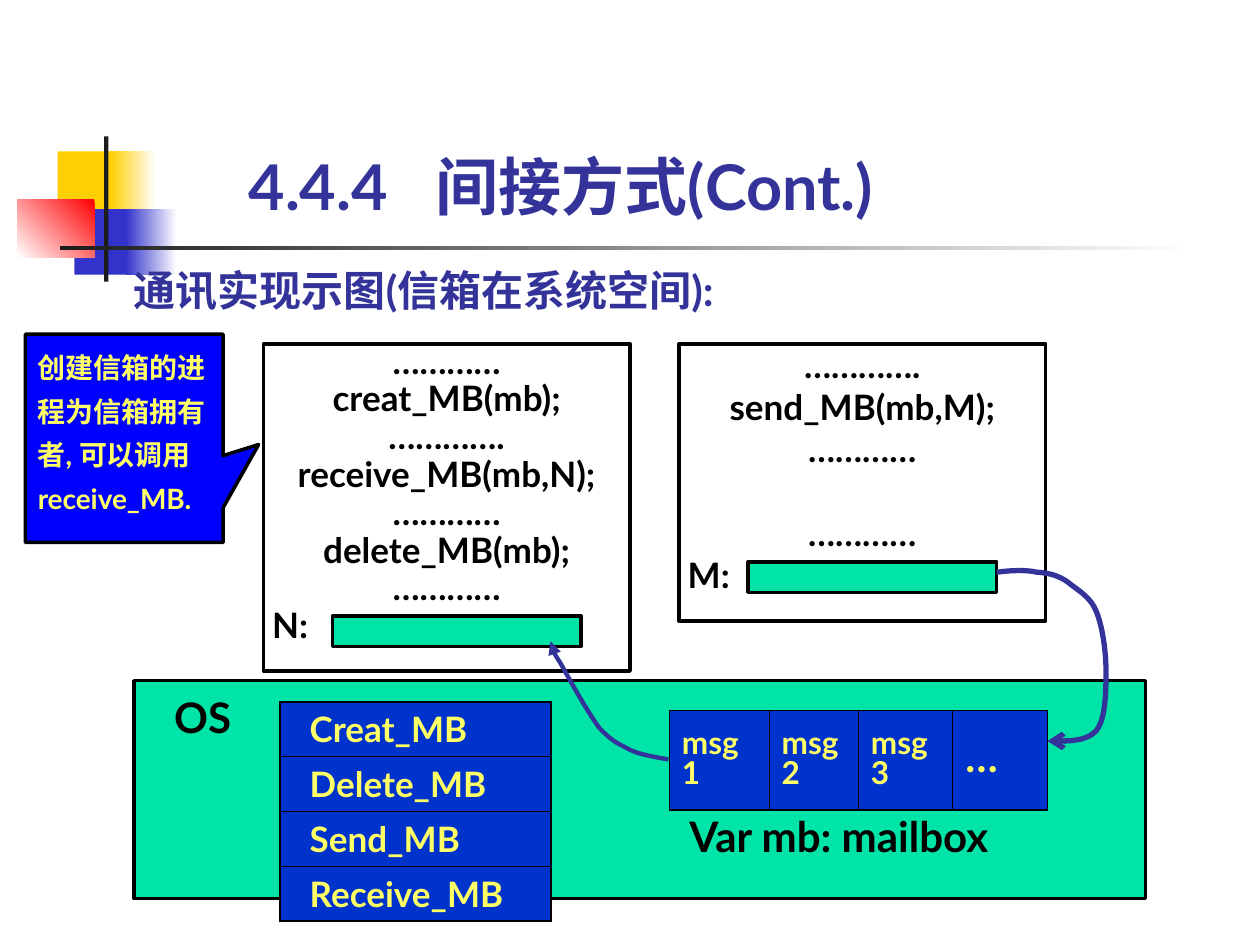
import pptx
import pptx.util
from lxml import etree
from pptx.dml.color import RGBColor
from pptx.enum.shapes import MSO_SHAPE
from pptx.enum.text import MSO_ANCHOR, MSO_AUTO_SIZE, PP_ALIGN
from pptx.oxml.ns import qn

Pt = pptx.util.Pt
FONT = "Lato"
COLORS = {
    "ink": "000000", "title": "333399", "green": "00E4A8", "cell": "0033CC",
    "callout": "0000FF", "light": "FFFF66", "white": "FFFFFF", "yellow": "FFCF01",
    "blue": "3333CC", "red": "FF0000", "bar": "1C1C1C",
}


def rgb(name):
    return RGBColor.from_string(COLORS[name])


def style(p, size, color, align=PP_ALIGN.LEFT, spacing=1.0):
    p.alignment, p.line_spacing = align, spacing
    p.space_before = Pt(0)
    f = p.font
    f.name, f.size, f.bold, f.color.rgb = FONT, Pt(size), True, rgb(color)


def set_frame(tf, margins=(0, 0, 0, 0), anchor=MSO_ANCHOR.TOP):
    tf.word_wrap, tf.auto_size = True, MSO_AUTO_SIZE.NONE
    tf.vertical_anchor = anchor
    tf.margin_left, tf.margin_top, tf.margin_right, tf.margin_bottom = map(Pt, margins)


def add_box(s, x, y, w, h, fill=None, line=None, kind=MSO_SHAPE.RECTANGLE):
    sp = s.shapes.add_shape(kind, Pt(x), Pt(y), Pt(w), Pt(h))
    sp.shadow.inherit = False
    if fill:
        sp.fill.solid()
        sp.fill.fore_color.rgb = rgb(fill)
    else:
        sp.fill.background()
    if line:
        sp.line.color.rgb, sp.line.width = rgb(line), Pt(2)
    else:
        sp.line.fill.background()
    return sp


def add_fade(s, x, y, w, h, start, end, angle):
    """Rectangle fading between two colours; angle is counter-clockwise."""
    fill = add_box(s, x, y, w, h).fill
    fill.gradient()
    fill.gradient_angle = angle
    for stop, color in zip(fill.gradient_stops, (start, end)):
        stop.color.rgb = rgb(color)


def add_label(s, x, y, w, h, text, spacing=1.0):
    tf = s.shapes.add_textbox(Pt(x), Pt(y), Pt(w), Pt(h)).text_frame
    set_frame(tf)
    tf.text = text
    style(tf.paragraphs[0], 24, "ink", spacing=spacing)
    return tf.paragraphs[0]


def add_ornament(s, x, y):
    add_box(s, x + 23, y + 8.5, 34.5, 37.5, "yellow")
    add_fade(s, x + 53, y + 8.5, 26, 37.5, "white", "yellow", 180)
    add_box(s, x + 32.5, y + 41.5, 33, 37.5, "blue")
    add_fade(s, x + 62, y + 41.5, 29, 37.5, "white", "blue", 180)
    add_fade(s, x, y + 36, 44, 33, "red", "white", 225)
    add_box(s, x + 49.5, y, 2.5, 83, "bar")
    add_fade(s, x + 24.5, y + 62.5, 648, 2.5, "white", "bar", 180)


def add_title(s, x, y, w, h):
    sp = s.shapes.title
    sp.left, sp.top, sp.width, sp.height = map(Pt, (x, y, w, h))
    set_frame(sp.text_frame, anchor=MSO_ANCHOR.BOTTOM)
    p = sp.text_frame.paragraphs[0]
    p.text = "4.4.4\t间接方式(Cont.)"
    tabs = etree.SubElement(p._p.get_or_add_pPr(), qn("a:tabLst"))
    etree.SubElement(tabs, qn("a:tab"), pos=str(Pt(107)), algn="l")
    style(p, 36, "title", spacing=0.85)


def add_process(s, x, y, w, h, lines, name, spacing, slot_rise):
    """Program listing with a named message slot near its lower edge."""
    tf = add_box(s, x, y, w, h, line="ink").text_frame
    set_frame(tf, (0, 0, 0, 14.5))
    tf.text = "\n".join(lines + [name])
    for p in tf.paragraphs:
        style(p, 20, "ink", PP_ALIGN.CENTER, spacing)
    p.alignment = PP_ALIGN.LEFT
    p._p.get_or_add_pPr().set("marL", str(Pt(5)))
    add_box(s, x + 39.5, y + h - slot_rise, 142, 17.5, "green", "ink")
    return tf


def set_borders(cell, outer):
    """Draw heavy lines on the outer sides and fine lines on the others."""
    for side in "LRTB":
        ln = etree.SubElement(cell._tc.get_or_add_tcPr(), qn("a:ln" + side),
                              w=str(Pt(1.08 if side in outer else 0.45)))
        fill = etree.SubElement(ln, qn("a:solidFill"))
        etree.SubElement(fill, qn("a:srgbClr"), val=COLORS["ink"])


def add_grid(s, x, y, widths, height, rows, size, spacing, indent):
    n_rows, n_cols = len(rows), len(widths)
    table = s.shapes.add_table(n_rows, n_cols, Pt(x), Pt(y), Pt(sum(widths)),
                               Pt(height * n_rows)).table
    table.first_row = table.horz_banding = False
    for col, width in zip(table.columns, widths):
        col.width = Pt(width)
    for i, row in enumerate(rows):
        table.rows[i].height = Pt(height)
        for j, text in enumerate(row):
            cell = table.cell(i, j)
            edges = {"L": j == 0, "R": j == n_cols - 1, "T": i == 0, "B": i == n_rows - 1}
            set_borders(cell, [side for side, on in edges.items() if on])
            cell.fill.solid()
            cell.fill.fore_color.rgb = rgb("cell")
            cell.vertical_anchor, cell.margin_left = MSO_ANCHOR.MIDDLE, Pt(indent)
            cell.text = text
            style(cell.text_frame.paragraphs[0], size, "light", spacing=spacing)
    return table


def add_system(s, x, y, w, h):
    add_box(s, x, y, w, h, "green", "ink")
    add_label(s, x + 23, y + 11.5, 40, 23, "OS", 0.8)
    calls = [["Creat_MB"], ["Delete_MB"], ["Send_MB"], ["Receive_MB"]]
    add_grid(s, x + 83.5, y + 12, [155], 24, calls, 20, 1.0, 17)
    add_label(s, x + 317.5, y + 80, 204.5, 23, "Var mb: mailbox", 0.8)
    mailbox = add_grid(s, x + 306, y + 17, [57, 51, 54, 54], 57,
                       [["msg1", "msg2", "msg3", "…"]], 18, 0.8, 7.2)
    mailbox.cell(0, 3).text_frame.paragraphs[0].font.size = Pt(24)


def add_callout(s, x, y, w, h):
    sp = add_box(s, x, y, w, h, "callout", "ink", MSO_SHAPE.RECTANGULAR_CALLOUT)
    sp.adjustments[0], sp.adjustments[1] = 0.68, 0.03
    set_frame(sp.text_frame, (7.2, 3.6, 7.2, 3.6))
    sp.text_frame.text = "创建信箱的进程为信箱拥有者, 可以调用receive_MB."
    style(sp.text_frame.paragraphs[0], 16, "light", spacing=1.3)


def add_curve(s, x, y, knots, width, head, steps=10):
    """Arrow along joined cubic curves whose points are relative to x, y."""
    points = []
    for k in range(0, len(knots) - 1, 3):
        for i in range(1, steps + 1):
            t = i / steps
            weights = ((1 - t) ** 3, 3 * t * (1 - t) ** 2, 3 * t * t * (1 - t), t ** 3)
            px, py = (sum(c * q[axis] for c, q in zip(weights, knots[k:k + 4]))
                      for axis in (0, 1))
            points.append((Pt(x + px), Pt(y + py)))
    fb = s.shapes.build_freeform(Pt(x + knots[0][0]), Pt(y + knots[0][1]))
    fb.add_line_segments(points, close=False)
    sp = fb.convert_to_shape()
    sp.shadow.inherit = False
    sp.fill.background()
    sp.line.color.rgb, sp.line.width = rgb("title"), Pt(width)
    etree.SubElement(sp.line._get_or_add_ln(), qn("a:tailEnd"), type=head)


def main():
    prs = pptx.Presentation()
    prs.slide_width, prs.slide_height = Pt(720), Pt(540)
    s = prs.slides.add_slide(prs.slide_layouts[5])
    add_ornament(s, 10, 78)
    add_title(s, 142, 90.5, 400, 37)
    receive = ["…………", "creat_MB(mb);", "………….", "receive_MB(mb,N);",
               "…………", "delete_MB(mb);", "…………"]
    add_process(s, 150.5, 196.5, 209.5, 187, receive, "N:", 0.9, 31.5)
    send = ["………….", "send_MB(mb,M);", "…………", "…………"]
    tf = add_process(s, 388, 196.5, 209.5, 158.5, send, "M:", 1.0, 34)
    tf.paragraphs[3].space_before = Pt(24)
    add_system(s, 76.5, 389, 578, 124.5)
    p = add_label(s, 76.5, 151, 351.5, 57.5, "通讯实现示图(信箱在系统空间):")
    p.font.color.rgb = rgb("title")
    add_callout(s, 14.5, 191, 113, 119)
    add_curve(s, 569.5, 325.5, [
        (0, 1.5), (8, 0.5), (16.5, 0), (23, 1.5), (29.5, 2), (34.5, 3), (40.5, 7),
        (45, 11), (53.5, 15), (57, 24), (60.5, 32.5), (62.5, 47), (62.5, 57.5),
        (62.5, 69), (62.5, 85), (57, 92), (51, 98.5), (40.5, 98), (29, 98)], 3, "arrow")
    add_curve(s, 314.5, 366.5, [
        (67.5, 67.5), (59.5, 66), (52, 65), (45.5, 62), (39, 58.5), (35.5, 57.5),
        (28, 49.5), (21.5, 41), (10, 20), (5.5, 12), (0.5, 4.5), (0, 2), (0, 0)],
        2.5, "triangle")
    prs.save("out.pptx")


if __name__ == "__main__":
    main()
